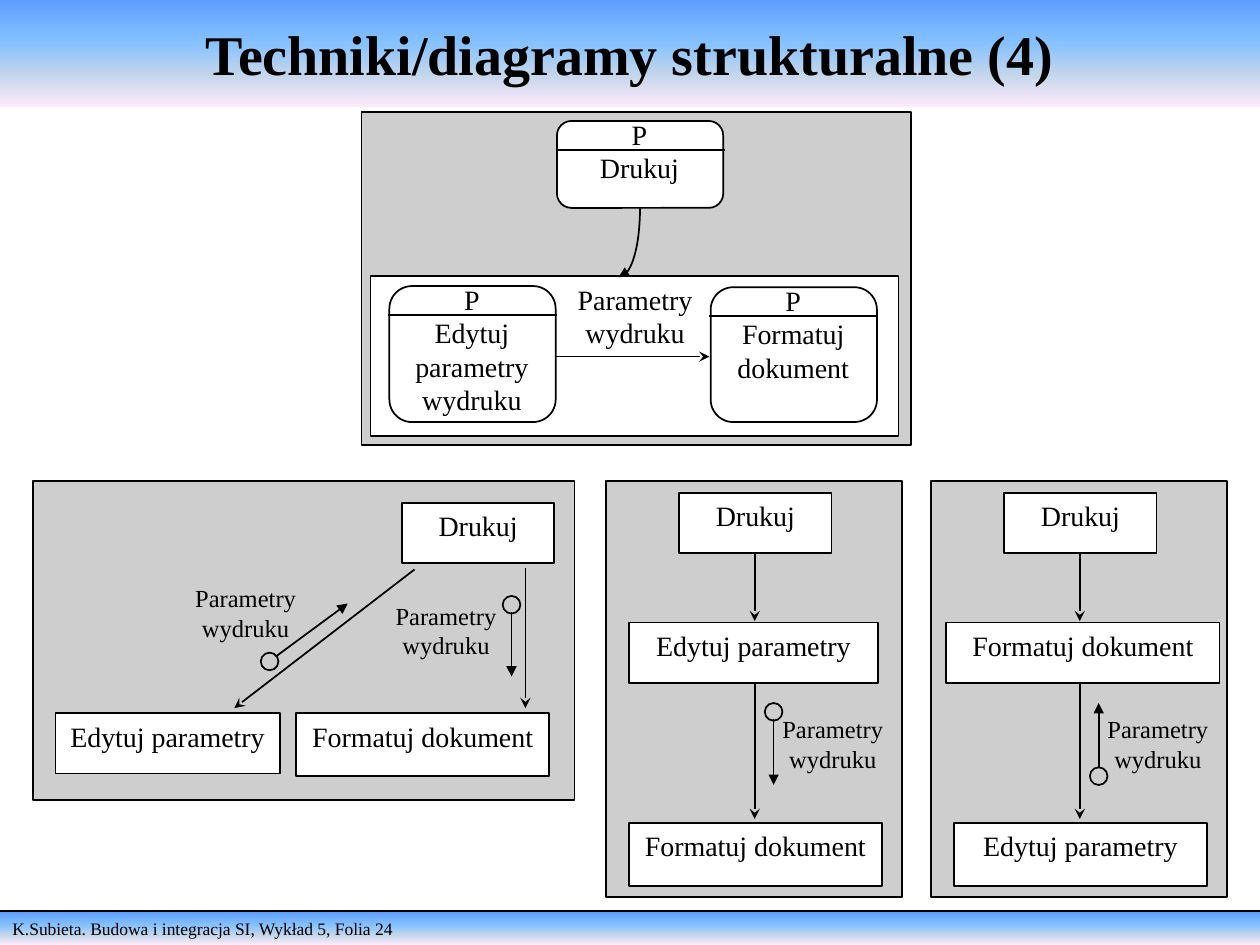
from lxml import etree
from pptx import Presentation, util as u
from pptx.dml.color import RGBColor
from pptx.enum import shapes as sh, text as tx
from pptx.oxml.ns import qn

BLACK = RGBColor(0, 0, 0)
WHITE = RGBColor(255, 255, 255)
GRAY = RGBColor(0xCE, 0xCE, 0xCE)
STOPS = [(0, RGBColor(0x5E, 0x9E, 0xFF)), (40, RGBColor(0x85, 0xC2, 0xFF)),
         (70, RGBColor(0xC4, 0xD6, 0xEB)), (100, RGBColor(0xFF, 0xEB, 0xFA))]
FONT = "Times New Roman"
WIDE, HIGH = 10, 7.5
TOP = 3.82  # top of the lower panels
RING = 0.14
SHAPE = sh.MSO_SHAPE
MID = tx.PP_ALIGN.CENTER
PARAM = "Parametry\nwydruku"


def write(frame, words, size=16, align=MID, bold=False, wrap=True):
    frame.word_wrap = wrap
    frame.vertical_anchor = tx.MSO_ANCHOR.TOP
    frame.text = words
    for par in frame.paragraphs:
        par.alignment = align
        font = par.font
        font.name, font.size, font.bold = FONT, u.Pt(size), bold
        font.color.rgb = BLACK


def stroke(line):
    line.color.rgb = BLACK
    line.width = u.Pt(1)


def shape(slide, kind, x, y, w, h, fill=WHITE):
    item = slide.shapes.add_shape(kind, *map(u.Inches, (x, y, w, h)))
    item.shadow.inherit = False
    if fill is None:
        item.fill.background()
    else:
        item.fill.solid()
        item.fill.fore_color.rgb = fill
    stroke(item.line)
    return item


def box(slide, words, x, y, w, h=0.48):
    write(shape(slide, SHAPE.RECTANGLE, x, y, w, h).text_frame, words)


def panel(slide, x, y, w, h, fill=GRAY):
    shape(slide, SHAPE.RECTANGLE, x, y, w, h, fill)


def label(slide, words, x, y, w, h, size=14, wrap=False):
    item = slide.shapes.add_textbox(*map(u.Inches, (x, y, w, h)))
    write(item.text_frame, words, size, wrap=wrap)


def band(slide, words, y, h, size, align, bold=False):
    """Full-width bar with a vertical gradient."""
    item = shape(slide, SHAPE.RECTANGLE, 0, y, WIDE, h)
    item.line.fill.background()
    item.fill.gradient()
    item.fill.gradient_angle = 270
    stops = item.element.spPr.find(".//" + qn("a:gsLst"))
    for old in list(stops):
        stops.remove(old)
    for share, color in STOPS:
        stop = etree.SubElement(stops, qn("a:gs"), pos=str(share * 1000))
        etree.SubElement(stop, qn("a:srgbClr"), val=str(color))
    write(item.text_frame, words, size, align, bold)
    return item


def tip(line, head):
    """Put an arrowhead at the end of a line."""
    etree.SubElement(line._get_or_add_ln(), qn("a:tailEnd"), type=head)


def line(slide, x1, y1, x2, y2, head=None):
    item = slide.shapes.add_connector(
        sh.MSO_CONNECTOR.STRAIGHT, *map(u.Inches, (x1, y1, x2, y2)))
    stroke(item.line)
    if head:
        tip(item.line, head)
    etree.SubElement(item.element.spPr, qn("a:effectLst"))


def flow(slide, x, y, x1, y1, x2, y2):
    """Data couple: a ring with its corner at x, y and an arrow."""
    shape(slide, SHAPE.OVAL, x, y, RING, RING, None)
    line(slide, x1, y1, x2, y2, "triangle")


def curve(slide, *knots):
    """Cubic arc through four knots, with an arrowhead at its end."""
    def spot(t):
        parts = ((1 - t) ** 3, 3 * t * (1 - t) ** 2,
                 3 * t * t * (1 - t), t ** 3)
        return tuple(u.Inches(sum(p * k[i] for p, k in zip(parts, knots)))
                     for i in (0, 1))
    dots = [spot(i / 24) for i in range(25)]
    pen = slide.shapes.build_freeform(*dots[0])
    pen.add_line_segments(dots[1:], close=False)
    item = pen.convert_to_shape()
    item.shadow.inherit = False
    item.fill.background()
    stroke(item.line)
    tip(item.line, "triangle")


def process(slide, words, x, y, h):
    """Rounded process box with a P compartment on top."""
    w = 1.32
    shape(slide, SHAPE.ROUNDED_RECTANGLE, x, y, w, h)
    label(slide, "P\n" + words, x - 0.1, y - 0.08, w + 0.19, h, 16, True)
    line(slide, x - 0.01, y + 0.23, x + w + 0.01, y + 0.23)


def nested(slide):
    panel(slide, 2.87, 0.89, 4.36, 2.64)
    process(slide, "Drukuj", 4.42, 0.96, 0.69)
    panel(slide, 2.94, 2.19, 4.19, 1.27, WHITE)
    process(slide, "Edytuj\nparametry\nwydruku", 3.09, 2.27, 1.08)
    process(slide, "Formatuj\ndokument", 5.64, 2.28, 1.07)
    line(slide, 4.41, 2.83, 5.63, 2.83, "stealth")
    label(slide, PARAM, 4.48, 2.19, 1.12, 0.64, 16)
    curve(slide, (5.08, 1.65), (5.08, 1.96), (5.01, 2.2), (4.91, 2.2))


def tree(slide):
    panel(slide, 0.26, TOP, 4.3, 2.53)
    box(slide, "Drukuj", 3.19, 3.99, 1.21)
    box(slide, "Edytuj parametry", 0.44, 5.66, 1.78)
    box(slide, "Formatuj dokument", 2.35, 5.66, 2.01, 0.5)
    line(slide, 3.29, 4.52, 1.86, 5.62, "stealth")
    line(slide, 4.17, 4.51, 4.17, 5.62, "stealth")
    flow(slide, 2.07, 5.18, 2.19, 5.21, 2.76, 4.79)
    label(slide, PARAM, 1.45, 4.58, 1, 0.57)
    label(slide, PARAM, 3.04, 4.72, 1, 0.57)
    flow(slide, 3.99, 4.73, 4.06, 4.86, 4.06, 5.37)


def chain(slide, x, first, left, wide, last, down):
    """Column of three boxes; the data couple points down or up."""
    mid = x + 1.18
    panel(slide, x, TOP, 2.35, 3.3)
    box(slide, "Drukuj", mid - 0.6, 3.91, 1.21)
    box(slide, first, left, 4.94, wide)
    box(slide, last, mid - 1, 6.53, 2.01, 0.5)
    line(slide, mid, 4.39, mid, 4.93, "stealth")
    line(slide, mid, 5.43, mid, 6.5, "stealth")
    label(slide, PARAM, mid + 0.12, 5.62, 1, 0.57)
    ring, start, end = (5.58, 5.71, 6.23) if down else (6.09, 6.09, 5.58)
    flow(slide, mid + 0.08, ring, mid + 0.15, start, mid + 0.15, end)


def main():
    deck = Presentation()
    deck.slide_width, deck.slide_height = u.Inches(WIDE), u.Inches(HIGH)
    slide = deck.slides.add_slide(deck.slide_layouts[6])
    band(slide, "K.Subieta. Budowa i integracja SI, Wykład 5, Folia 24",
         7.24, 0.26, 10, tx.PP_ALIGN.LEFT)
    line(slide, 0, 7.23, WIDE, 7.23)
    title = band(slide, "Techniki/diagramy strukturalne (4)",
                 0, 0.85, 32, MID, True)
    title.text_frame.vertical_anchor = tx.MSO_ANCHOR.MIDDLE
    nested(slide)
    tree(slide)
    chain(slide, 4.81, "Edytuj parametry", 4.99, 1.98,
          "Formatuj dokument", True)
    chain(slide, 7.39, "Formatuj dokument", 7.51, 2.17,
          "Edytuj parametry", False)
    deck.save("out.pptx")


if __name__ == "__main__":
    main()
